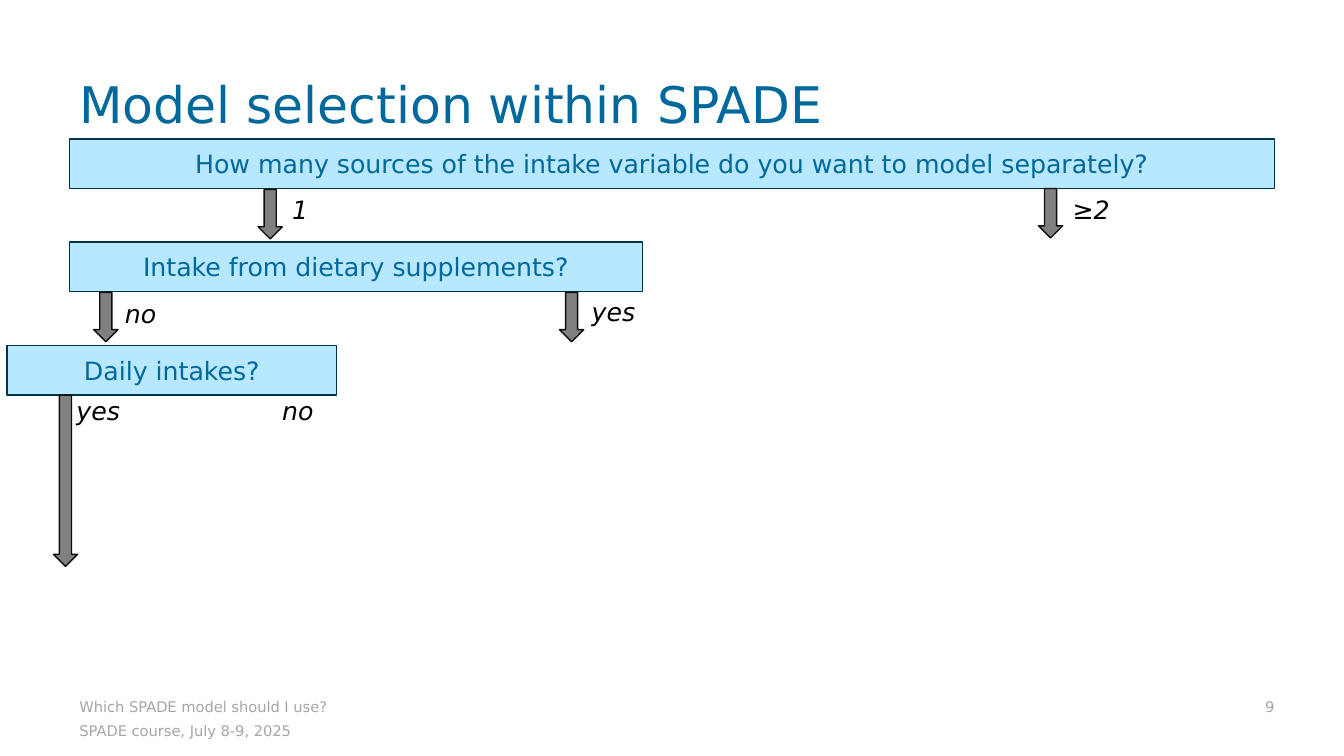
import pptx
import pptx.dml.color
import pptx.enum.shapes
import pptx.enum.text
import pptx.util

PX = 9144  # EMU per px, 100 px to the inch
FONT = "DejaVu Sans"
COLOURS = {
    "heading": "00689A",
    "footer": "A6A6A6",
    "answer": "000000",
    "question_fill": "B8E8FF",
    "question_line": "00344D",
    "arrow_fill": "808080",
    "arrow_line": "0D0D0D",
}
ALIGN = pptx.enum.text.PP_ALIGN
ANCHOR = pptx.enum.text.MSO_ANCHOR
SHAPE = pptx.enum.shapes.MSO_SHAPE

LEFT, WIDTH = 69, 1195
QUESTION_HEIGHT = 49
ARROW_WIDTH = 24


def colour(name):
    return pptx.dml.color.RGBColor.from_string(COLOURS[name])


def emu(*lengths):
    return [pptx.util.Emu(length * PX) for length in lengths]


def write(frame, text, size=18, ink="heading", italic=False, align=ALIGN.LEFT,
          anchor=ANCHOR.TOP, spacing=None, insets=(10, 5, 10, 5)):
    frame.word_wrap = True
    frame.vertical_anchor = anchor
    (frame.margin_left, frame.margin_top,
     frame.margin_right, frame.margin_bottom) = emu(*insets)
    paragraph = frame.paragraphs[0]
    paragraph.alignment = align
    if spacing:
        paragraph.line_spacing = spacing
    run = paragraph.add_run()
    run.text = text
    run.font.name = FONT
    run.font.size = pptx.util.Pt(size)
    run.font.italic = italic
    run.font.color.rgb = colour(ink)


def add_text(slide, box, text, **style):
    write(slide.shapes.add_textbox(*emu(*box)).text_frame, text, **style)


def add_block(slide, preset, box, kind):
    block = slide.shapes.add_shape(preset, *emu(*box))
    block.shadow.inherit = False
    block.fill.solid()
    block.fill.fore_color.rgb = colour(kind + "_fill")
    block.line.color.rgb = colour(kind + "_line")
    block.line.width = pptx.util.Pt(1)
    return block


def add_question(slide, left, top, width, text):
    question = add_block(slide, SHAPE.RECTANGLE,
                         (left, top, width, QUESTION_HEIGHT), "question")
    write(question.text_frame, text, align=ALIGN.CENTER, anchor=ANCHOR.MIDDLE)


def add_arrow(slide, left, top, height=49):
    add_block(slide, SHAPE.DOWN_ARROW, (left, top, ARROW_WIDTH, height), "arrow")


def add_answer(slide, left, top, width, text):
    add_text(slide, (left, top, width, 40), text, ink="answer", italic=True)


def main():
    deck = pptx.Presentation()
    deck.slide_width, deck.slide_height = emu(1333, 750)
    slide = deck.slides.add_slide(deck.slide_layouts[6])

    # Title
    add_text(slide, (LEFT, 34, WIDTH, 104), "Model selection within SPADE",
             size=36, anchor=ANCHOR.BOTTOM, spacing=0.9)

    # Footer and slide number
    footer = {"size": 10.5, "ink": "footer"}
    add_text(slide, (LEFT, 680, 547, 35), "Which SPADE model should I use?",
             anchor=ANCHOR.BOTTOM, **footer)
    add_text(slide, (LEFT, 716, 547, 29), "SPADE course, July 8-9, 2025",
             insets=(10, 0, 10, 5), **footer)
    add_text(slide, (717, 680, 547, 35), "9", align=ALIGN.RIGHT,
             anchor=ANCHOR.BOTTOM, insets=(10, 5, 0, 5), **footer)

    # Number of sources
    add_question(slide, LEFT, 138, WIDTH,
                 "How many sources of the intake variable do you want to model separately?")
    add_arrow(slide, 256, 188)
    add_answer(slide, 280, 188, 39, "1")
    add_arrow(slide, 1030, 187)
    add_answer(slide, 1054, 188, 63, "≥2")

    # Dietary supplements
    add_question(slide, LEFT, 240, 568, "Intake from dietary supplements?")
    add_arrow(slide, 93, 290)
    add_answer(slide, 114, 291, 59, "no")
    add_arrow(slide, 555, 290)
    add_answer(slide, 577, 289, 66, "yes")

    # Daily intakes
    add_question(slide, 7, 343, 327, "Daily intakes?")
    add_arrow(slide, 53, 392, height=170)
    add_answer(slide, 66, 387, 66, "yes")
    add_answer(slide, 270, 387, 59, "no")

    deck.save("out.pptx")


if __name__ == "__main__":
    main()
